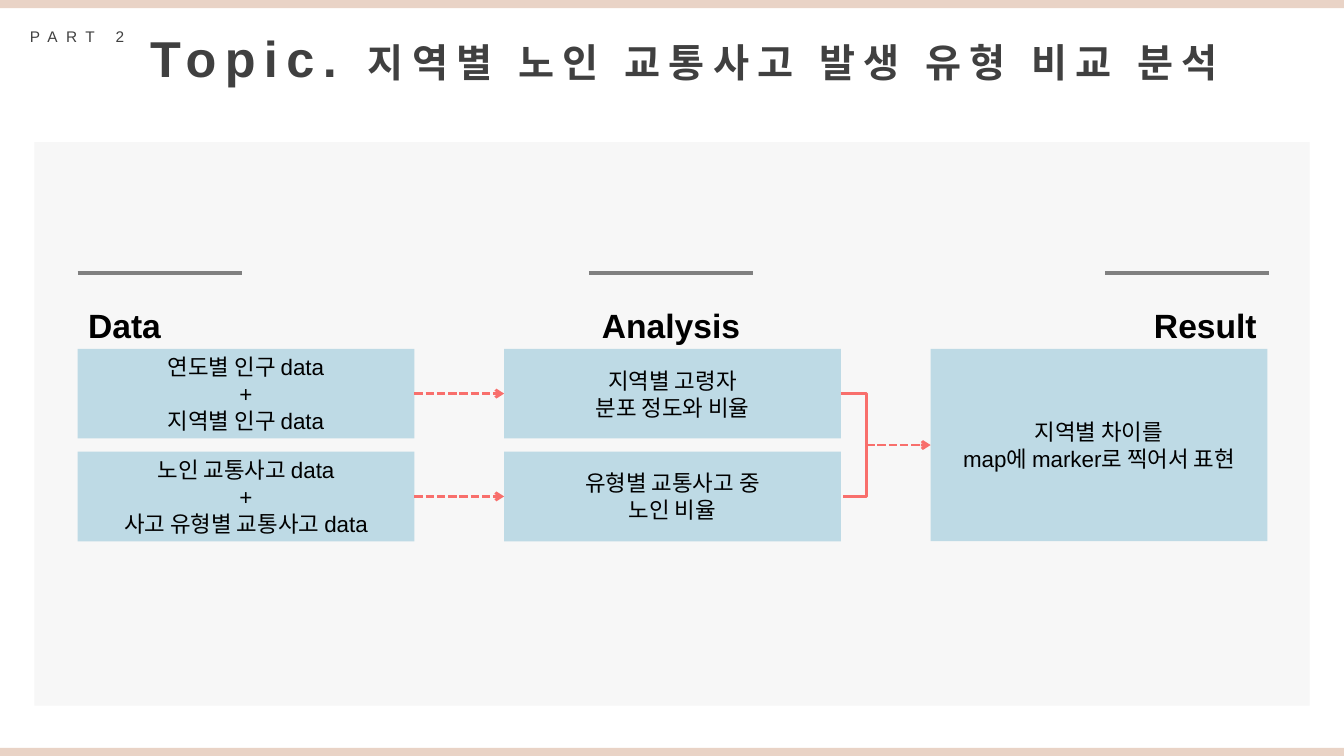
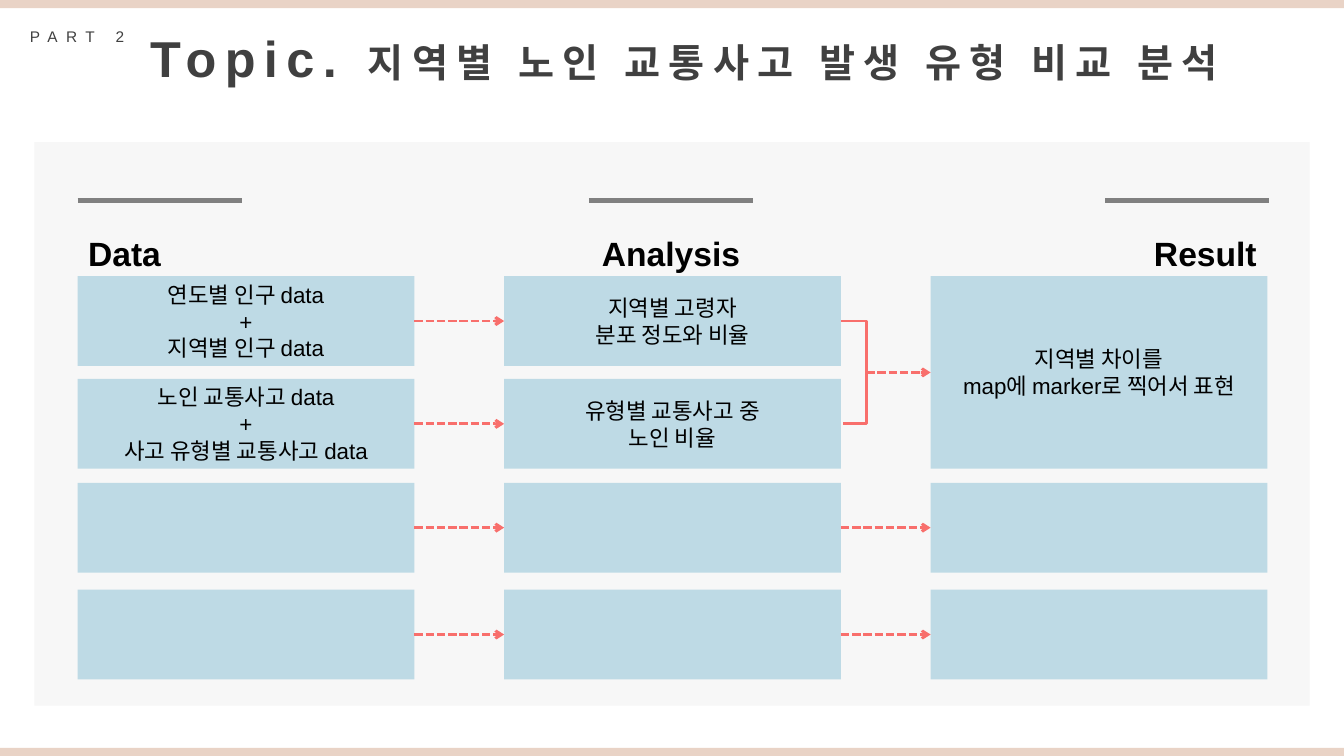
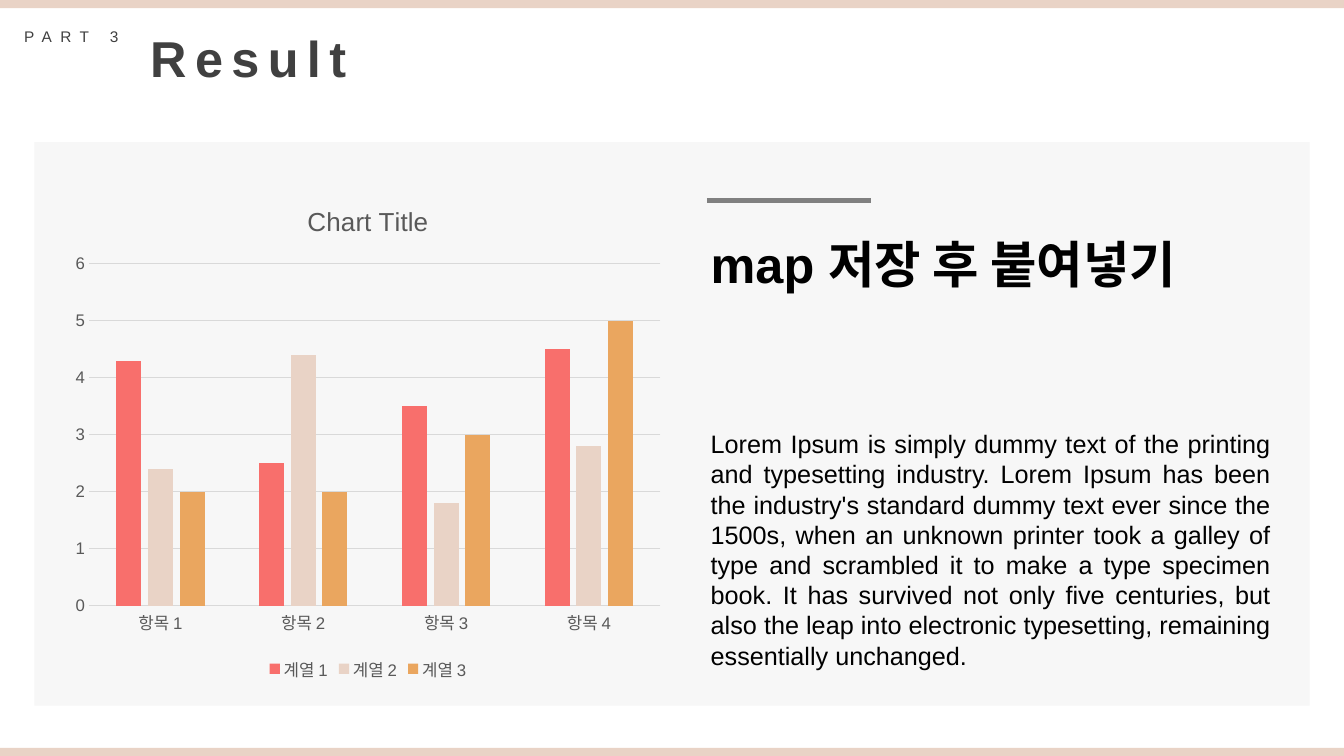
from pptx import Presentation
from pptx.chart.data import CategoryChartData
from pptx.dml.color import RGBColor
from pptx.enum.chart import XL_CHART_TYPE, XL_LEGEND_POSITION, XL_TICK_MARK
from pptx.enum.dml import MSO_LINE
from pptx.enum.shapes import MSO_CONNECTOR, MSO_SHAPE
from pptx.enum.text import MSO_ANCHOR, MSO_AUTO_SIZE, PP_ALIGN
from pptx.oxml.ns import qn
from pptx.util import Inches, Pt
from lxml import etree

LEFT, CENTER, JUSTIFY = PP_ALIGN.LEFT, PP_ALIGN.CENTER, PP_ALIGN.JUSTIFY
TOP, MIDDLE = MSO_ANCHOR.TOP, MSO_ANCHOR.MIDDLE
STRAIGHT, ELBOW = MSO_CONNECTOR.STRAIGHT, MSO_CONNECTOR.ELBOW
NO_TICK = XL_TICK_MARK.NONE

# Shared look
FONT = "Arial"
BLACK, DARK, GRAY, RULE, GRID = "000000", "404040", "595959", "808080", "D9D9D9"
BEIGE, PANEL, BLUE, CORAL, ORANGE = "E9D3C6", "F7F7F7", "BEDAE5", "F86F6C", "EAA65F"
WIDTH, HEIGHT, BAND = 13.33, 7.5, 0.08
RULE_W = 1.63

# Flow grid: three equal columns, rows as offsets from the first
COL_X, COL_STEP, BOX_W, BOX_H = 0.77, 4.23, 3.34, 0.89
ROWS = (0, 1.02, 2.05, 3.11)
HEADINGS = (("Data", 0.77, 0.93, 0.77), ("Analysis", 5.86, 1.59, 5.84),
            ("Result", 11.34, 1.23, 10.96))
FLOW_TEXTS = (
    ("연도별 인구 data\n+\n지역별 인구 data", "지역별 고령자\n분포 정도와 비율"),
    ("노인 교통사고 data\n+\n사고 유형별 교통사고 data", "유형별 교통사고 중\n노인 비율"),
)
FLOW_RESULT = "지역별 차이를\nmap에 marker로 찍어서 표현"
TOPIC = (("Topic. ", 36), ("지역별 노인 교통사고 발생 유형 비교 분석", 28))
LOREM = (
    "Lorem Ipsum is simply dummy text of the printing and typesetting industry. "
    "Lorem Ipsum has been the industry's standard dummy text ever since the 1500s, "
    "when an unknown printer took a galley of type and scrambled it to make a type "
    "specimen book. It has survived not only five centuries, but also the leap into "
    "electronic typesetting, remaining essentially unchanged."
)
SERIES = (("계열 1", (4.3, 2.5, 3.5, 4.5), CORAL),
          ("계열 2", (2.4, 4.4, 1.8, 2.8), BEIGE),
          ("계열 3", (2, 2, 3, 5), ORANGE))


def rgb(color):
    return RGBColor.from_string(color)


def box(*lengths):
    return [Inches(v) for v in lengths]


def style_font(font, size, color, bold=False):
    font.name, font.size, font.bold = FONT, Pt(size), bold
    font.color.rgb = rgb(color)


def style_text(tf, size, color=BLACK, bold=False, align=LEFT, spacing=0):
    for p in tf.paragraphs:
        p.alignment = align
        for r in p.runs:
            style_font(r.font, size, color, bold)
            if spacing:
                r.font._element.set("spc", str(spacing * 100))


# Elements
def add_rect(s, x, y, w, h, color, text=""):
    sp = s.shapes.add_shape(MSO_SHAPE.RECTANGLE, *box(x, y, w, h))
    sp.shadow.inherit = False
    sp.fill.solid()
    sp.fill.fore_color.rgb = rgb(color)
    sp.line.fill.background()
    if text:
        sp.text_frame.text = text
        sp.text_frame.vertical_anchor = MIDDLE
        style_text(sp.text_frame, 16, align=CENTER)


def add_text(s, x, y, w, h, text, size, wrap=False, **style):
    tf = s.shapes.add_textbox(*box(x, y, w, h)).text_frame
    tf.text = text
    tf.word_wrap = wrap
    tf.auto_size = MSO_AUTO_SIZE.SHAPE_TO_FIT_TEXT
    style_text(tf, size, **style)


def add_line(s, x1, y1, x2, y2, color, width, kind=STRAIGHT):
    line = s.shapes.add_connector(kind, *box(x1, y1, x2, y2))
    line.line.color.rgb = rgb(color)
    line.line.width = Pt(width)
    etree.SubElement(line._element.spPr, qn("a:effectLst"))
    return line


def add_rule(s, x, y):
    add_line(s, x, y, x + RULE_W, y, RULE, 3)


def add_arrow(s, x1, x2, y):
    arrow = add_line(s, x1, y, x2, y, CORAL, 2)
    arrow.line.dash_style = MSO_LINE.SQUARE_DOT
    etree.SubElement(arrow.line._get_or_add_ln(), qn("a:tailEnd"), type="arrow")


def add_bracket(s, x, y1, y2, reach):
    width = 0.02
    bracket = add_line(s, x, y1, x + width, y2, CORAL, 2, ELBOW)
    guides = bracket._element.spPr.find(qn("a:prstGeom")).get_or_add_avLst()
    etree.SubElement(guides, qn("a:gd"), name="adj1",
                     fmla=f"val {round(reach / width * 100000)}")


def add_chart(s, x, y, w, h):
    data = CategoryChartData()
    data.categories = [f"항목 {n}" for n in range(1, 5)]
    for name, values, _ in SERIES:
        data.add_series(name, values)
    chart = s.shapes.add_chart(XL_CHART_TYPE.COLUMN_CLUSTERED, *box(x, y, w, h), data).chart
    style_font(chart.font, 10, BLACK)
    chart.has_title = True
    title = chart.chart_title
    title.include_in_layout = False
    title.text_frame.text = "Chart Title"
    style_text(title.text_frame, 18.6, GRAY, align=CENTER)

    plot = chart.plots[0]
    plot.gap_width, plot.overlap, plot.vary_by_categories = 219, -27, False
    for series, (_, _, color) in zip(plot.series, SERIES):
        series.format.fill.solid()
        series.format.fill.fore_color.rgb = rgb(color)

    cat_axis, val_axis = chart.category_axis, chart.value_axis
    for axis in (cat_axis, val_axis):
        axis.major_tick_mark = axis.minor_tick_mark = NO_TICK
        style_font(axis.tick_labels.font, 12, GRAY)
    val_axis.minimum_scale, val_axis.maximum_scale, val_axis.major_unit = 0, 6, 1
    val_axis.format.line.fill.background()
    for line in (cat_axis.format.line, val_axis.major_gridlines.format.line):
        line.color.rgb = rgb(GRID)
        line.width = Pt(0.75)

    chart.has_legend = True
    chart.legend.position = XL_LEGEND_POSITION.BOTTOM
    chart.legend.include_in_layout = False
    style_font(chart.legend.font, 12, GRAY)


# Slides
def add_slide(prs, part, title, title_w, title_align=LEFT, part_align=LEFT):
    s = prs.slides.add_slide(prs.slide_layouts[5])
    add_rect(s, 0.34, 1.41, 12.65, 5.59, PANEL)
    for y in (0, HEIGHT - BAND):
        add_rect(s, 0, y, WIDTH, BAND, BEIGE)
    sp = s.shapes.title
    sp.left, sp.top, sp.width, sp.height = box(1.39, 0.22, title_w, 0.71)
    tf = sp.text_frame
    tf.word_wrap = False
    tf.auto_size = MSO_AUTO_SIZE.SHAPE_TO_FIT_TEXT
    tf.vertical_anchor = TOP
    for text, _ in title:
        tf.paragraphs[0].add_run().text = text
    style_text(tf, 36, DARK, bold=True, align=title_align, spacing=6)
    for r, (_, size) in zip(tf.paragraphs[0].runs, title):
        r.font.size = Pt(size)
    add_text(s, 0.14, 0.22, 1.25, 0.29, part, 11, color=DARK, align=part_align, spacing=6)
    return s


def add_flow(prs, top, empty_rows=0):
    s = add_slide(prs, "PART 2", TOPIC, 11.64, JUSTIFY, CENTER)
    data_x, analysis_x, result_x = (COL_X + i * COL_STEP for i in range(3))
    data_end, analysis_end = data_x + BOX_W, analysis_x + BOX_W
    for text, x, w, rule_x in HEADINGS:
        add_rule(s, rule_x, top - 0.75)
        add_text(s, x, top - 0.48, w, 0.5, text, 24, bold=True, align=CENTER)

    # Data to analysis, with later rows running straight on to a result
    texts = FLOW_TEXTS + (("", ""),) * empty_rows
    for i, (data, analysis) in enumerate(texts):
        y = top + ROWS[i]
        middle = y + BOX_H / 2
        add_rect(s, data_x, y, BOX_W, BOX_H, BLUE, data)
        add_rect(s, analysis_x, y, BOX_W, BOX_H, BLUE, analysis)
        add_arrow(s, data_end, analysis_x, middle)
        if i >= len(FLOW_TEXTS):
            add_rect(s, result_x, y, BOX_W, BOX_H, BLUE)
            add_arrow(s, analysis_end, result_x, middle)

    # First two rows joined into one result
    joined_h, reach = ROWS[1] + BOX_H, 0.25
    first = top + BOX_H / 2
    add_rect(s, result_x, top, BOX_W, joined_h, BLUE, FLOW_RESULT)
    add_bracket(s, analysis_end, first, first + ROWS[1], reach)
    add_arrow(s, analysis_end + reach, result_x, top + joined_h / 2)


def add_result(prs):
    s = add_slide(prs, "PART 3", (("Result", 36),), 2.25)
    add_chart(s, 0.63, 1.83, 6.04, 4.97)
    add_rule(s, 7.01, 1.99)
    add_text(s, 6.95, 2.26, 5.19, 0.71, "map 저장 후 붙여넣기", 36, bold=True)
    add_text(s, 6.95, 4.2, 5.75, 2.52, LOREM, 18, wrap=True, align=JUSTIFY)


def main():
    prs = Presentation()
    prs.slide_width, prs.slide_height = box(WIDTH, HEIGHT)
    add_flow(prs, top=3.46)
    add_flow(prs, top=2.74, empty_rows=2)
    add_result(prs)
    prs.save("out.pptx")


main()
